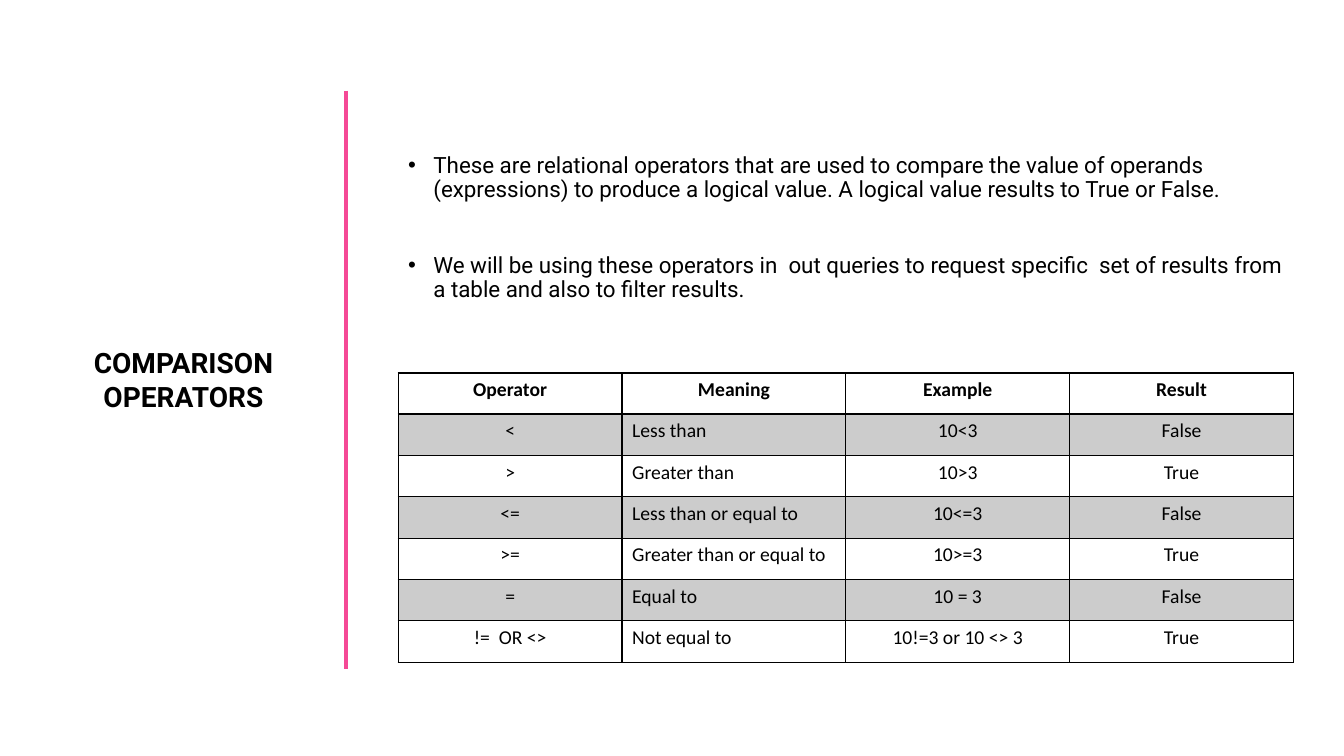
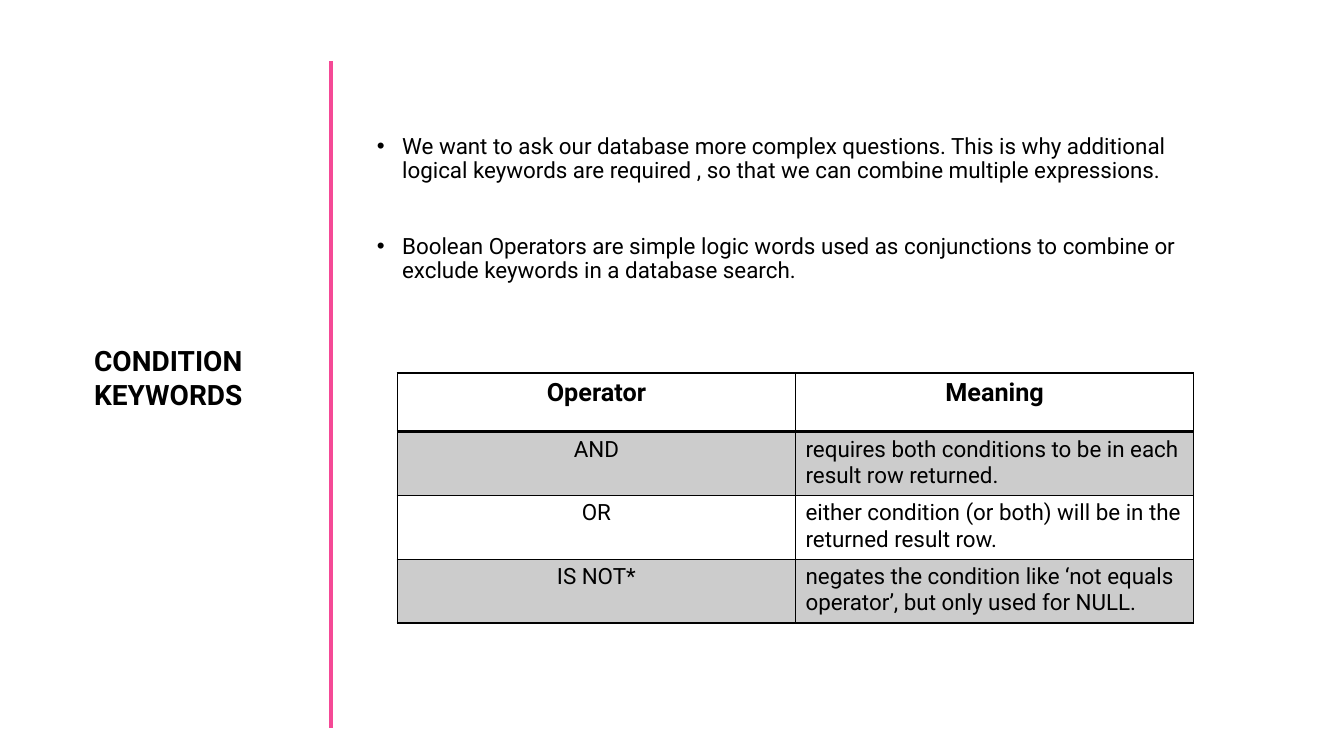
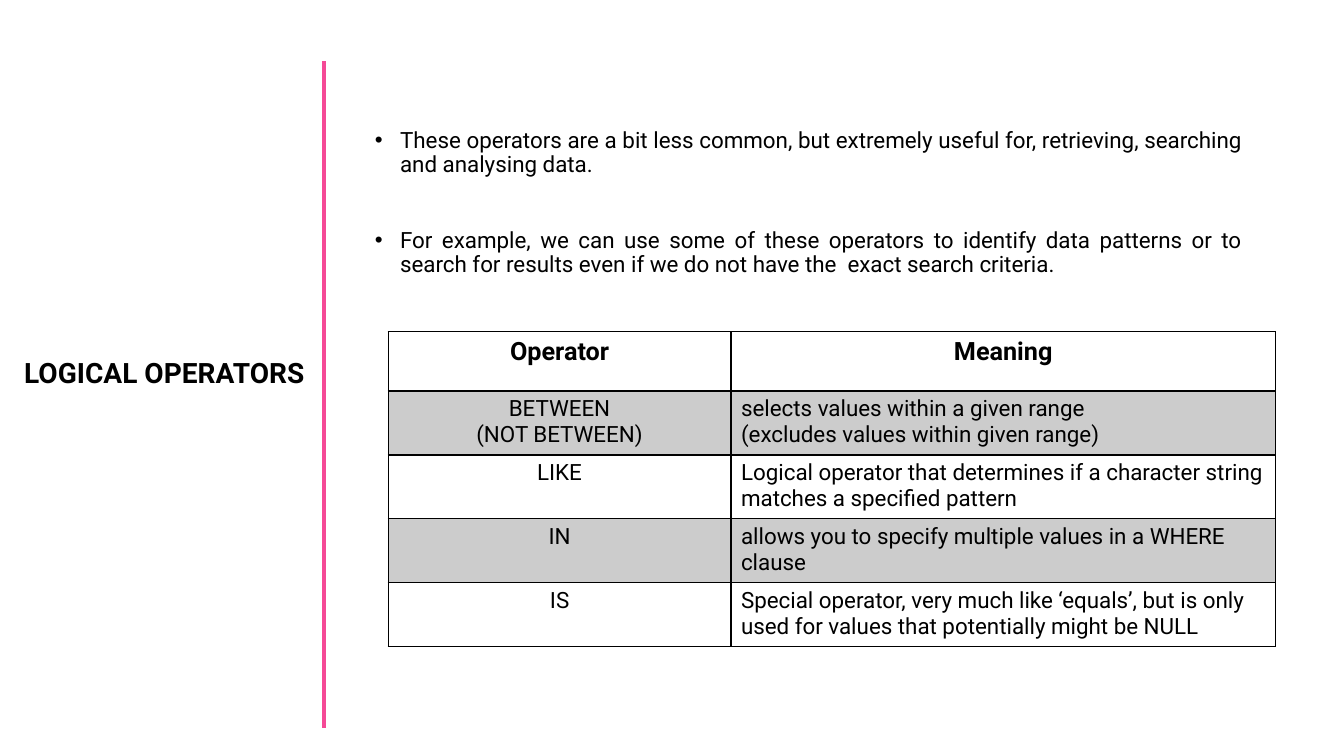
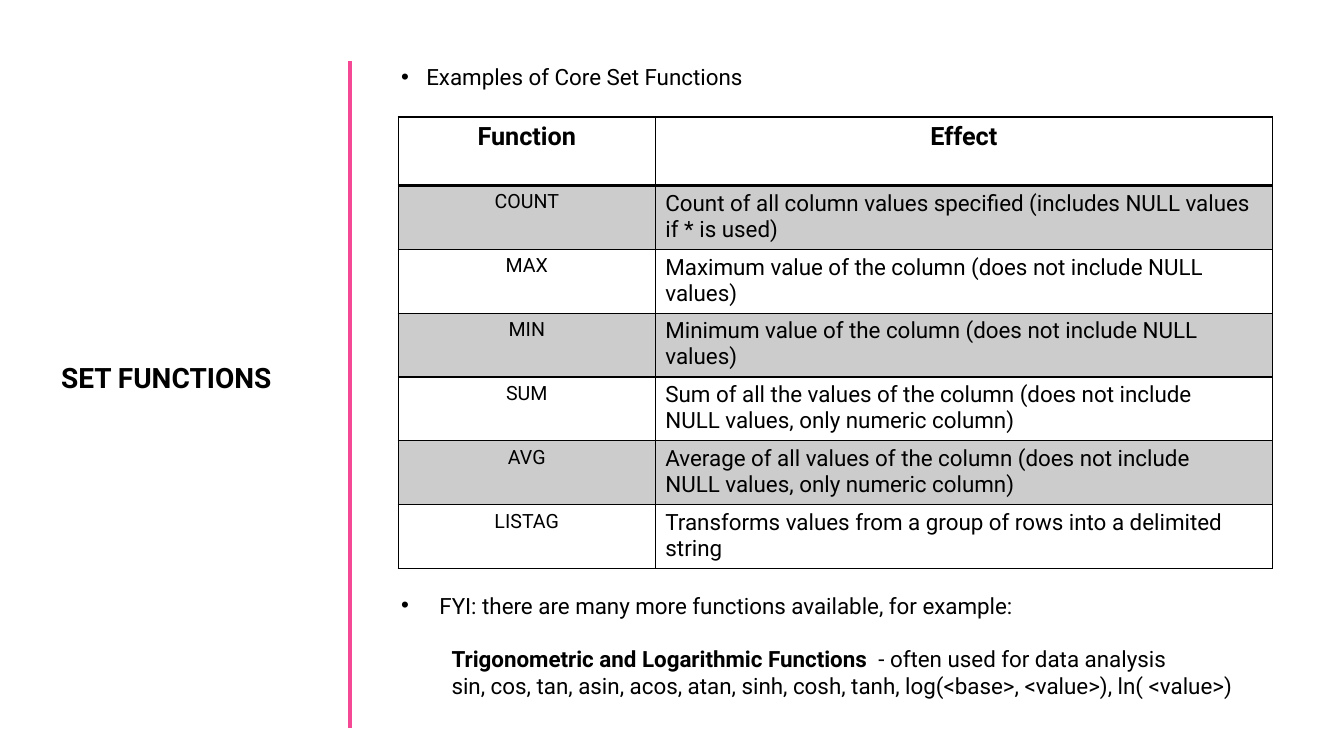
import dataclasses

import pptx
import pptx.dml.color
import pptx.enum.shapes
import pptx.enum.text
import pptx.oxml
import pptx.oxml.ns
import pptx.util
from lxml import etree

Inches = pptx.util.Inches
Pt = pptx.util.Pt
Align = pptx.enum.text.PP_ALIGN
Fit = pptx.enum.text.MSO_AUTO_SIZE


@dataclasses.dataclass(frozen=True)
class Theme:
    ink: str = "000000"
    pink: str = "F54996"
    shade: int = 20
    font: str = "Roboto"
    grid: str = "Calibri"
    title: int = 20
    head: int = 18
    body: int = 16
    small: int = 14


def color(code):
    return pptx.dml.color.RGBColor.from_string(code)


def node(parent, tag, **attrs):
    return etree.SubElement(parent, pptx.oxml.ns.qn(tag), attrs)


def assign(target, values):
    for name, value in values.items():
        setattr(target, name, value)


class Deck:
    """Builds slides with a side title, a pink rule, bullets and grids."""

    def __init__(self, theme):
        self.theme = theme
        self.show = pptx.Presentation()
        assign(self.show, {"slide_width": Inches(13.33), "slide_height": Inches(7.5)})
        self.slide = None

    def page(self, title, place, rule):
        self.slide = self.show.slides.add_slide(self.show.slide_layouts[6])
        self.rule(*rule)
        frame = self.box(place, Fit.SHAPE_TO_FIT_TEXT)
        for index, line in enumerate(title.split("\n")):
            self.text(frame, index, line, self.theme.title, bold=True, alignment=Align.CENTER)

    def rule(self, left, top, bottom):
        line = self.slide.shapes.add_connector(
            pptx.enum.shapes.MSO_CONNECTOR.STRAIGHT,
            Inches(left), Inches(top), Inches(left), Inches(bottom))
        line.line.color.rgb = color(self.theme.pink)
        line.line.width = Pt(3)
        node(line._element.spPr, "a:effectLst")

    def box(self, place, fit=Fit.NONE):
        frame = self.slide.shapes.add_textbox(*map(Inches, place)).text_frame
        assign(frame, {"word_wrap": True, "auto_size": fit})
        return frame

    def text(self, frame, index, words, size, bold=False, font=None, **form):
        par = frame.add_paragraph() if index else frame.paragraphs[0]
        assign(par, form)
        parts = [(words, bold)] if isinstance(words, str) else words
        for part, heavy in parts:
            run = par.add_run()
            run.text = part
            assign(run.font, {"name": font or self.theme.font, "size": Pt(size), "bold": heavy})
            run.font.color.rgb = color(self.theme.ink)
        return par

    def indent(self, par, left, bullet=True):
        props = par._p.get_or_add_pPr()
        props.set("marL", str(Inches(left)))
        props.set("indent", str(-Inches(left) if bullet else 0))
        if bullet:
            node(props, "a:buFont", typeface="Arial")
            node(props, "a:buChar", char="•")

    def points(self, place, lines, align=Align.LEFT):
        frame = self.box(place)
        for index, line in enumerate(lines):
            par = self.text(frame, index, line, self.theme.body, alignment=align,
                            line_spacing=0.9, space_before=Pt(37 if index else 10))
            self.indent(par, 0.25)

    def note(self, place, lead, lines):
        frame = self.box(place, Fit.SHAPE_TO_FIT_TEXT)
        self.indent(self.text(frame, 0, lead, self.theme.body), 0.38)
        for index, line in enumerate(lines, 1):
            par = self.text(frame, index, line, self.theme.body, alignment=Align.JUSTIFY,
                            space_before=Pt(19 if index == 1 else 0))
            self.indent(par, 0.5, bullet=False)

    def table(self, left, top, widths, heights, rows, sizes, head=None, font=None):
        spots = map(Inches, (left, top, sum(widths), sum(heights)))
        grid = self.slide.shapes.add_table(len(rows), len(widths), *spots).table
        grid.horz_banding = False
        for col, width in zip(grid.columns, widths):
            col.width = Inches(width)
        for y, row in enumerate(rows):
            grid.rows[y].height = Inches(heights[y])
            for x, words in enumerate(row):
                cell = grid.cell(y, x)
                align = Align.LEFT if y and x == 1 else Align.CENTER
                size = sizes[x] if y else head or self.theme.head
                for index, line in enumerate(words.split("\n")):
                    self.text(cell.text_frame, index, line, size, bold=y == 0,
                              font=font, alignment=align)
                self.paint(cell, y)

    def paint(self, cell, y):
        props = cell._tc.get_or_add_tcPr()
        for side in "LRTB":
            thick = (y, side) in ((0, "B"), (1, "T"))
            edge = node(props, "a:ln" + side, w=str(Pt(2 if thick else 1)))
            node(node(edge, "a:solidFill"), "a:srgbClr", val=self.theme.ink)
        if y % 2:
            tone = node(node(props, "a:solidFill"), "a:srgbClr", val=self.theme.ink)
            node(tone, "a:alpha", val=str(self.theme.shade * 1000))
        else:
            node(props, "a:noFill")


def main():
    theme = Theme()
    deck = Deck(theme)
    pair = (theme.body, theme.body)

    deck.page("COMPARISON\nOPERATORS", (0.24, 3.38, 3.16, 0.77), (3.43, 0.9, 6.64))
    deck.points((3.95, 1.48, 8.89, 2.05), [
        "These are relational operators that are used to compare the value of operands (expressions) to produce a logical value. A logical value results to True or False.",
        "We will be using these operators in  out queries to request specific  set of results from a table and also to filter results.",
    ])
    deck.table(3.95, 3.7, [2.22] * 4, [0.41] * 7, [
        ("Operator", "Meaning", "Example", "Result"),
        ("<", "Less than", "10<3", "False"),
        (">", "Greater than", "10>3", "True"),
        ("<=", "Less than or equal to", "10<=3", "False"),
        (">=", "Greater than or equal to", "10>=3", "True"),
        ("=", "Equal to", "10 = 3", "False"),
        ("!=  OR <>", "Not equal to", "10!=3 or 10 <> 3", "True"),
    ], [theme.small] * 4, head=theme.small, font=theme.grid)

    deck.page("CONDITION KEYWORDS", (0.09, 3.36, 3.16, 0.77), (3.28, 0.61, 7.22))
    deck.points((3.64, 1.29, 8.51, 2.38), [
        "We want to ask our database more complex questions. This is why additional logical keywords are required , so that we can combine multiple expressions.",
        "Boolean Operators are simple logic words used as conjunctions to combine or exclude keywords in a database search.",
    ])
    deck.table(3.94, 3.7, [3.95] * 2, [0.58] + [0.63] * 3, [
        ("Operator", "Meaning"),
        ("AND", "requires both conditions to be in each result row returned."),
        ("OR", "either condition (or both) will be in the returned result row."),
        ("IS NOT*", "negates the condition like ‘not equals operator’, but only used for NULL."),
    ], pair)

    deck.page("LOGICAL OPERATORS", (0.05, 3.48, 3.16, 0.44), (3.21, 0.61, 7.22))
    deck.points((3.62, 1.23, 8.8, 2.38), [
        "These operators are a bit less common, but extremely useful for, retrieving, searching and analysing data. ",
        "For example, we can use some of these operators to identify data patterns or to search for results even if we do not have the  exact search criteria.",
    ], Align.JUSTIFY)
    deck.table(3.85, 3.29, [3.4, 5.4], [0.59] + [0.63] * 4, [
        ("Operator", "Meaning"),
        ("BETWEEN\n(NOT BETWEEN)", "selects values within a given range\n(excludes values within given range)"),
        ("LIKE", "Logical operator that determines if a character string matches a specified pattern"),
        ("IN", "allows you to specify multiple values in a WHERE clause"),
        ("IS", "Special operator, very much like ‘equals’, but is only used for values that potentially might be NULL"),
    ], pair)

    deck.page("SET FUNCTIONS", (0.07, 3.53, 3.16, 0.44), (3.47, 0.61, 7.22))
    deck.points((3.88, 0.61, 8.8, 0.39), ["Examples of Core Set Functions"])
    deck.table(3.95, 1.16, [2.55, 6.12], [0.68] + [0.63] * 6, [
        ("Function", "Effect"),
        ("COUNT", "Count of all column values specified (includes NULL values if * is used)"),
        ("MAX", "Maximum value of the column (does not include NULL\nvalues)"),
        ("MIN", "Minimum value of the column (does not include NULL\nvalues)"),
        ("SUM", "Sum of all the values of the column (does not include\nNULL values, only numeric column)"),
        ("AVG", "Average of all values of the column (does not include\nNULL values, only numeric column)"),
        ("LISTAG", "Transforms values from a group of rows into a delimited string"),
    ], (theme.small, theme.body))
    deck.note((3.88, 5.82, 9.22, 1.45), "FYI: there are many more functions available, for example:", [
        [("Trigonometric and Logarithmic Functions ", True), (" - often used for data analysis", False)],
        "sin, cos, tan, asin, acos, atan, sinh, cosh, tanh, log(<base>, <value>), ln( <value>)",
    ])

    deck.show.save("out.pptx")


if __name__ == "__main__":
    main()
